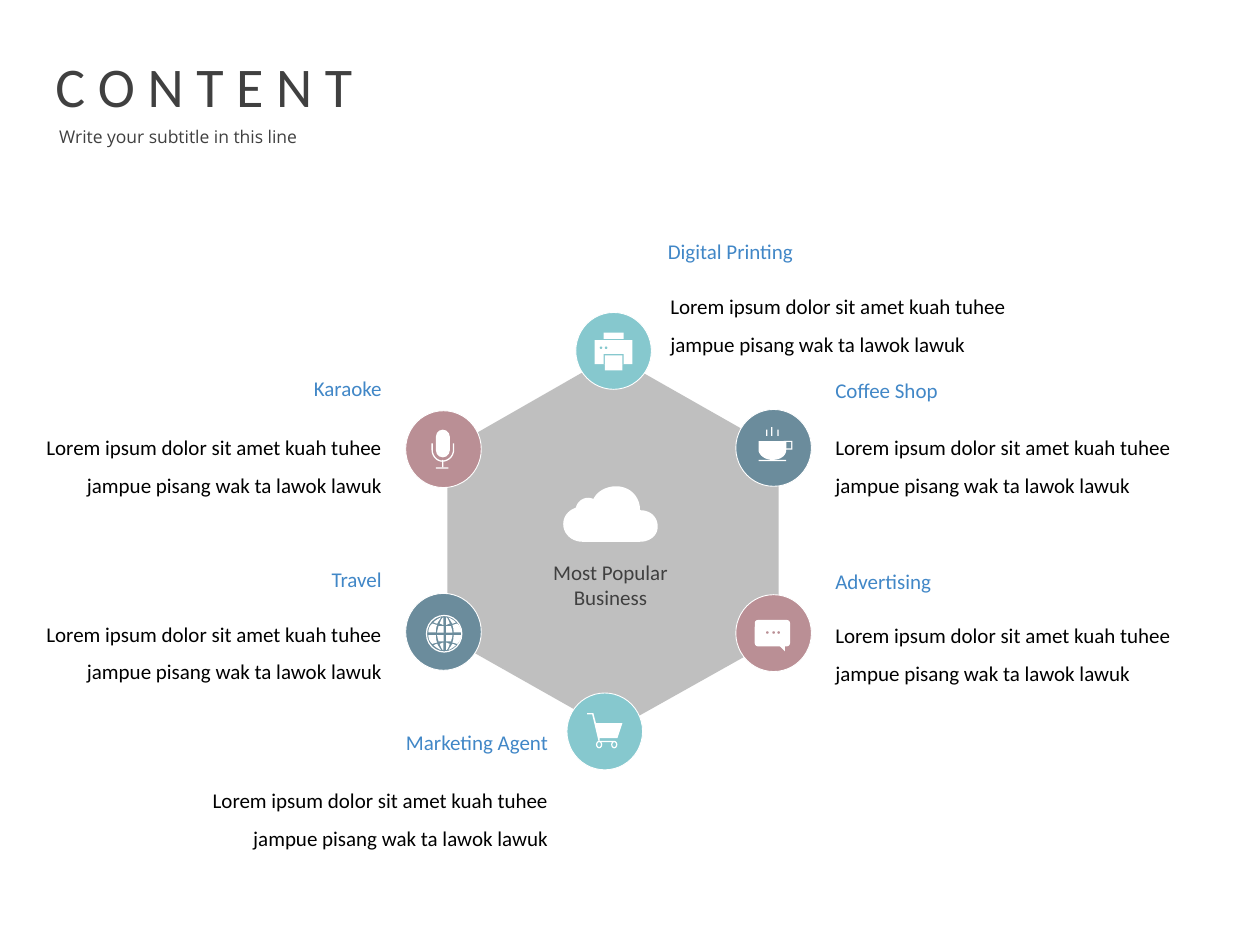
import pptx
import pptx.util
import pptx.dml.color
import pptx.enum.shapes
import pptx.enum.text

Inches, Pt = pptx.util.Inches, pptx.util.Pt
SHAPE = pptx.enum.shapes.MSO_SHAPE
ALIGN = pptx.enum.text.PP_ALIGN
RECT, OVAL, ROUND, DONUT = SHAPE.RECTANGLE, SHAPE.OVAL, SHAPE.ROUNDED_RECTANGLE, SHAPE.DONUT

COLORS = {
    "white": "FFFFFF", "black": "000000", "gray": "BFBFBF", "dark": "404040",
    "label": "4187C7", "teal": "86C8CE", "slate": "6B8C9C", "rose": "BA8F95",
}
LOREM = "Lorem ipsum dolor sit amet kuah tuhee jampue pisang wak ta lawok lawuk"
TEXT_W, BODY_H, LABEL_H = 2.86, 0.54, 0.46
BADGE_W, BADGE_H = 0.6, 0.61

# label, badge colour, badge left and top, text left, label top, body top, alignment
TOPICS = [
    ("Digital Printing", "teal", 4.57, 2.48, 5.3, 1.87, 2.21, ALIGN.LEFT),
    ("Coffee Shop", "slate", 5.84, 3.25, 6.61, 2.98, 3.33, ALIGN.LEFT),
    ("Advertising", "rose", 5.84, 4.72, 6.61, 4.49, 4.82, ALIGN.LEFT),
    ("Marketing Agent", "teal", 4.5, 5.5, 1.51, 5.77, 6.13, ALIGN.RIGHT),
    ("Travel", "slate", 3.22, 4.71, 0.19, 4.48, 4.81, ALIGN.RIGHT),
    ("Karaoke", "rose", 3.22, 3.26, 0.19, 2.96, 3.33, ALIGN.RIGHT),
]
LABEL_LEFT = {"Digital Printing": 5.28}

# An outline is a list of points; six numbers make a Bezier curve.
HEXAGON = [(4.86, 2.82), (6.18, 3.57), (6.18, 5.06), (4.86, 5.8), (3.55, 5.06), (3.55, 3.57)]
CLOUD = [
    (5.08, 4.05), (5.08, 3.94, 5, 3.86, 4.89, 3.86), (4.81, 3.86, 4.74, 3.9, 4.71, 3.96),
    (4.64, 3.93, 4.58, 3.98, 4.57, 4.03), (4.51, 4.05, 4.47, 4.1, 4.47, 4.16),
    (4.47, 4.24, 4.54, 4.3, 4.62, 4.3), (5.08, 4.3),
    (5.16, 4.3, 5.22, 4.25, 5.22, 4.18), (5.22, 4.1, 5.16, 4.05, 5.08, 4.05),
]

# Preset parts of each icon: kind, colour, left, top, width, height
ICON_SHAPES = {
    "Digital Printing": [
        (RECT, "white", 4.79, 2.64, 0.16, 0.05),
        (RECT, "white", 4.72, 2.7, 0.3, 0.19),
        (RECT, "teal", 4.79, 2.81, 0.16, 0.08),
        (RECT, "white", 4.8, 2.82, 0.14, 0.12),
        *[(OVAL, "teal", x, 2.75, 0.02, 0.02) for x in (4.76, 4.8)],
    ],
    "Coffee Shop": [
        (RECT, "white", 6.22, 3.5, 0.07, 0.07),
        (RECT, "slate", 6.24, 3.51, 0.04, 0.05),
        (RECT, "white", 6.02, 3.65, 0.22, 0.01),
        *[(RECT, "white", x, y, 0.01, 3.46 - y) for x, y in ((6.08, 3.41), (6.12, 3.39), (6.17, 3.41))],
    ],
    "Advertising": [
        (ROUND, "white", 5.99, 4.92, 0.28, 0.21),
        *[(OVAL, "rose", x, 5.01, 0.02, 0.02) for x in (6.08, 6.13, 6.17)],
    ],
    "Marketing Agent": [
        (RECT, "white", 4.76, 5.88, 0.11, 0.01),
        *[(DONUT, "white", x, 5.88, 0.05, 0.06) for x in (4.73, 4.85)],
    ],
    "Travel": [(DONUT, "white", 3.38, 4.88, 0.29, 0.3)],
    "Karaoke": [
        (ROUND, "white", 3.46, 3.41, 0.11, 0.22),
        (RECT, "white", 3.51, 3.65, 0.01, 0.06),
        (RECT, "white", 3.46, 3.71, 0.1, 0.01),
    ],
}

# Upper right quarter of the globe, as offsets right of and above its centre
GLOBE_X, GLOBE_Y = 3.53, 5.03
GLOBE_QUARTER = [
    [(0.05, 0.06), (0.03, 0.06, 0.02, 0.06, 0.01, 0.06), (0.01, 0.01), (0.06, 0.01),
     (0.06, 0.03, 0.05, 0.05, 0.05, 0.06)],
    [(0.01, 0.13), (0.01, 0.07), (0.02, 0.07, 0.03, 0.08, 0.04, 0.08),
     (0.03, 0.11, 0.02, 0.13, 0.01, 0.13)],
    [(0.09, 0.09), (0.07, 0.11, 0.05, 0.12, 0.03, 0.13), (0.04, 0.11, 0.05, 0.1, 0.06, 0.08),
     (0.07, 0.08, 0.08, 0.09, 0.09, 0.09)],
    [(0.07, 0.01), (0.13, 0.01), (0.13, 0.04, 0.12, 0.06, 0.1, 0.08),
     (0.09, 0.08, 0.07, 0.07, 0.06, 0.07), (0.07, 0.05, 0.07, 0.03, 0.07, 0.01)],
]


def mirrored(path, sx, sy):
    """Place a globe panel in the quarter that the two signs name."""
    centre, signs = (GLOBE_X, GLOBE_Y), (sx, -sy)
    return [tuple(centre[i % 2] + signs[i % 2] * v for i, v in enumerate(step)) for step in path]


ICON_FILLS = {
    "Coffee Shop": [[(6.02, 3.5), (6.24, 3.5), (6.24, 3.57),
                     (6.24, 3.62, 6.19, 3.65, 6.13, 3.65), (6.07, 3.65, 6.02, 3.61, 6.02, 3.57)]],
    "Advertising": [[(6.18, 5.12), (6.23, 5.12), (6.23, 5.17)]],
    "Marketing Agent": [[(4.66, 5.66), (4.71, 5.66), (4.73, 5.74), (4.94, 5.74), (4.9, 5.86),
                         (4.76, 5.86), (4.76, 5.89), (4.75, 5.88), (4.7, 5.67), (4.66, 5.67)]],
    "Travel": [mirrored(path, sx, sy) for path in GLOBE_QUARTER for sx in (1, -1) for sy in (1, -1)],
}
ICON_STROKES = {
    "Karaoke": [(3.43, 3.52), (3.43, 3.57), (3.43, 3.62, 3.47, 3.66, 3.51, 3.66),
                (3.56, 3.66, 3.6, 3.62, 3.6, 3.57), (3.6, 3.52)],
}


def rgb(name):
    return pptx.dml.color.RGBColor.from_string(COLORS[name])


def style(s, fill=None, line=None, width=0.75):
    s.shadow.inherit = False
    for part, color in ((s.fill, fill), (s.line.fill, line)):
        if color:
            part.solid()
            part.fore_color.rgb = rgb(color)
        else:
            part.background()
    if line:
        s.line.width = Pt(width)


def flatten(path, steps=10):
    """Turn points and Bezier curves into points in EMU."""
    points = [path[0]]
    for step in path[1:]:
        if len(step) == 2:
            points.append(step)
            continue
        corners = [points[-1], step[:2], step[2:4], step[4:]]
        for i in range(1, steps + 1):
            t = i / steps
            weights = ((1 - t) ** 3, 3 * t * (1 - t) ** 2, 3 * t * t * (1 - t), t ** 3)
            points.append(tuple(sum(w * c[axis] for w, c in zip(weights, corners)) for axis in (0, 1)))
    return [(Inches(x), Inches(y)) for x, y in points]


def add_outline(shapes, path, fill=None, line=None):
    start, *rest = flatten(path)
    builder = shapes.build_freeform(*start)
    builder.add_line_segments(rest, close=fill is not None)
    style(builder.convert_to_shape(), fill, line)


def add_preset(shapes, kind, color, box, line=None):
    s = shapes.add_shape(kind, *map(Inches, box))
    style(s, color, line, 0.5)
    if kind == ROUND:
        s.adjustments[0] = 0.5 if box[3] > box[2] else 0.12
    elif kind == DONUT:
        s.adjustments[0] = 0.01 / box[2]


def add_text(shapes, lines, box, color, size=12, font="Calibri", align=ALIGN.LEFT,
             insets=(0.02, 0.02), spacing=None, wrap=True):
    tf = shapes.add_textbox(*map(Inches, box)).text_frame
    tf.word_wrap = wrap
    for i, side in enumerate(("left", "top", "right", "bottom")):
        setattr(tf, f"margin_{side}", Inches(insets[i % 2]))
    for i, line in enumerate(lines):
        p = tf.add_paragraph() if i else tf.paragraphs[0]
        p.alignment, p.line_spacing = align, spacing
        r = p.add_run()
        r.text = line
        for key, value in {"size": Pt(size), "name": font}.items():
            setattr(r.font, key, value)
        r.font.color.rgb = rgb(color)


prs = pptx.Presentation()
prs.slide_width, prs.slide_height = Inches(10), Inches(7.5)
shapes = prs.slides.add_slide(prs.slide_layouts[6]).shapes

add_outline(shapes, HEXAGON, "gray")
add_outline(shapes, CLOUD, "white")
add_text(shapes, ["Most Popular", "Business"], (3.67, 4.44, 2.35, 0.74), "dark",
         align=ALIGN.CENTER, insets=(0, 0))

for label, color, x, y, text_x, label_y, body_y, align in TOPICS:
    add_preset(shapes, OVAL, color, (x, y, BADGE_W, BADGE_H), "white")
    for kind, part_color, *box in ICON_SHAPES[label]:
        add_preset(shapes, kind, part_color, box)
    for path in ICON_FILLS.get(label, []):
        add_outline(shapes, path, "white")
    if label in ICON_STROKES:
        add_outline(shapes, ICON_STROKES[label], line="white")
    add_text(shapes, [LOREM], (text_x, body_y, TEXT_W, BODY_H), "black", align=align, spacing=1.5)
    add_text(shapes, [label], (LABEL_LEFT.get(label, text_x), label_y, TEXT_W, LABEL_H),
             "label", align=align)

add_text(shapes, ["C O N T E N T"], (0.34, 0.36, 2.59, 0.64), "dark", 32,
         insets=(0.1, 0.05), wrap=False)
add_text(shapes, ["Write your subtitle in this line"], (0.47, 1, 2.09, 0.23), "dark", 10,
         "Open Sans", insets=(0, 0))

prs.save("out.pptx")
